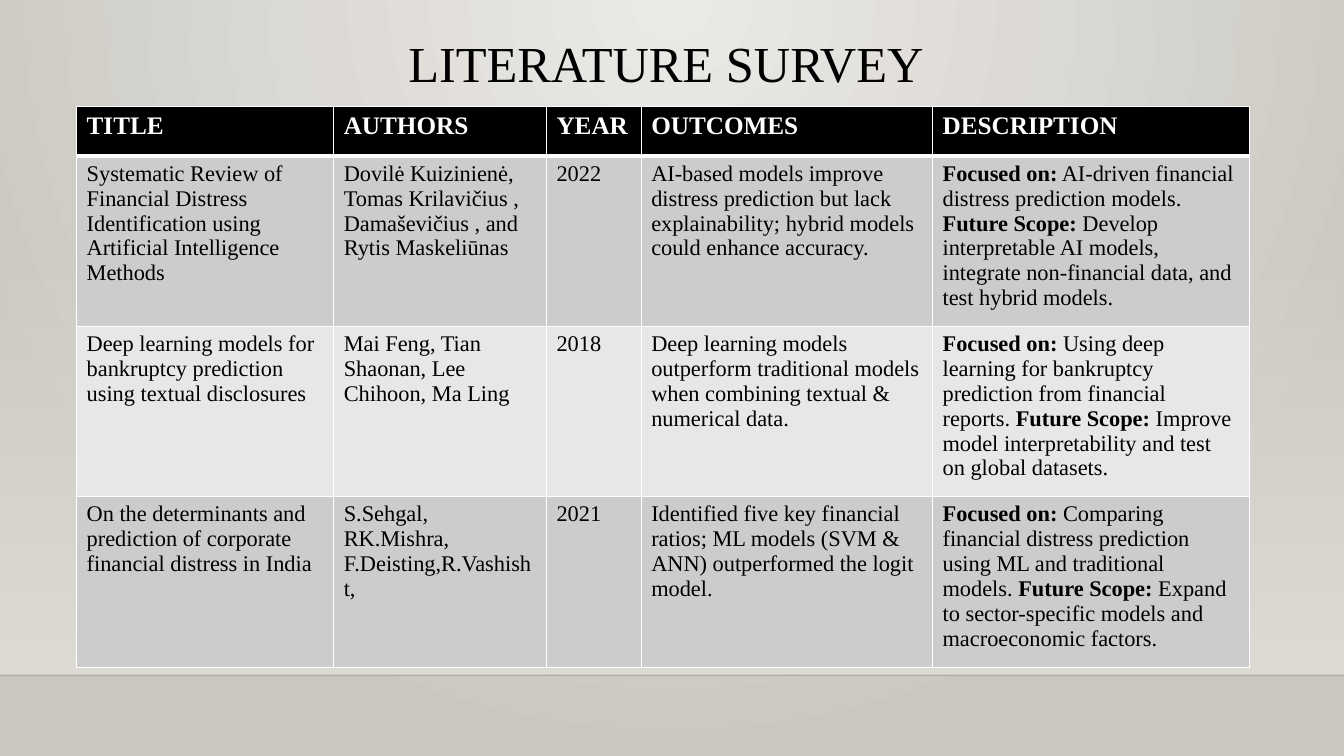
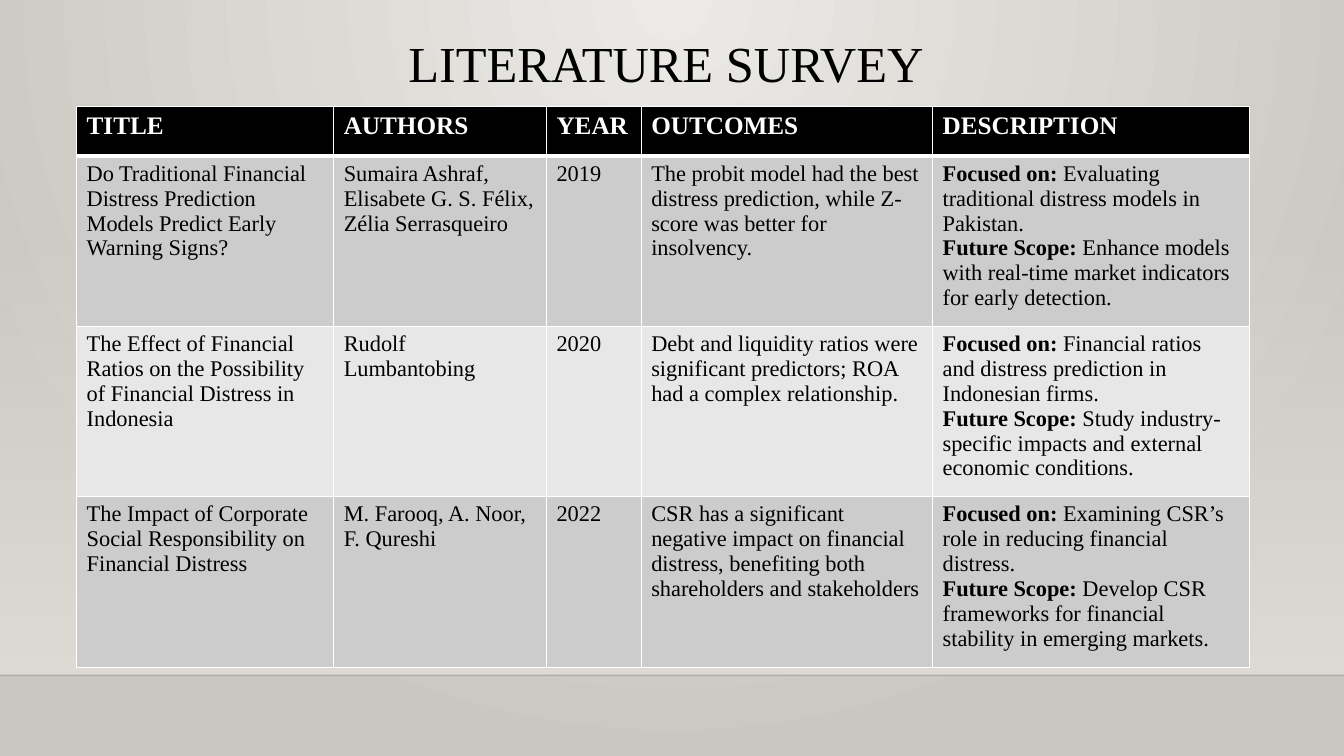
from dataclasses import dataclass

import pptx
import pptx.dml.color
import pptx.enum.shapes
import pptx.enum.text
import pptx.oxml.ns
import pptx.slide
import pptx.table
import pptx.util
from lxml import etree

RGB = pptx.dml.color.RGBColor
Inches = pptx.util.Inches
Pt = pptx.util.Pt
qn = pptx.oxml.ns.qn

# Shared look
BLACK = RGB(0x00, 0x00, 0x00)
WHITE = RGB(0xFF, 0xFF, 0xFF)
RULE = RGB(0x00, 0x00, 0x01)
GLOW = RGB(0xEC, 0xEA, 0xE7)
EDGE = RGB(0xCA, 0xC7, 0xC1)
WALL = RGB(0xDF, 0xDB, 0xD5)
DARK = RGB(0xCC, 0xCC, 0xCC)
LIGHT = RGB(0xE7, 0xE7, 0xE7)
FACE = "Times New Roman"
TITLE = {"name": FACE, "size": Pt(36), "bold": False}
HEAD = {"name": FACE, "size": Pt(18), "bold": True}
BODY = {"name": FACE, "size": Pt(16), "bold": False}

WIDE, HIGH, FLOOR = 13.33, 7.5, 6.7
WIDTHS = [2.55, 2.11, 0.94, 2.89, 3.14]
HEIGHTS = [0.49, 1.69, 1.69, 1.69]
NAMES = ["TITLE", "AUTHORS", "YEAR", "OUTCOMES", "DESCRIPTION"]

Runs = list[tuple[str, bool]]


@dataclass
class Paper:
    title: str
    authors: list[str]
    year: str
    outcome: str
    focus: str
    scope: str


@dataclass
class Survey:
    split: bool  # scope starts its own paragraph
    papers: list[Paper]


SURVEYS = [
    Survey(False, [
        Paper("Systematic Review of Financial Distress Identification using "
              "Artificial Intelligence Methods",
              ["Dovilė Kuizinienė, Tomas Krilavičius , Damaševičius , "
               "and Rytis Maskeliūnas"],
              "2022",
              "AI-based models improve distress prediction but lack "
              "explainability; hybrid models could enhance accuracy.",
              "AI-driven financial distress prediction models.",
              "Develop interpretable AI models, integrate non-financial data, "
              "and test hybrid models."),
        Paper("Deep learning models for bankruptcy prediction using textual "
              "disclosures",
              ["Mai Feng, Tian Shaonan, Lee Chihoon, Ma Ling"],
              "2018",
              "Deep learning models outperform traditional models when "
              "combining textual & numerical data.",
              "Using deep learning for bankruptcy prediction from financial "
              "reports.",
              "Improve model interpretability and test on global datasets."),
        Paper("On the determinants and prediction of corporate financial "
              "distress in India",
              ["S.Sehgal, RK.Mishra, F.Deisting,R.Vashisht,"],
              "2021",
              "Identified five key financial ratios; ML models (SVM & ANN) "
              "outperformed the logit model.",
              "Comparing financial distress prediction using ML and "
              "traditional models.",
              "Expand to sector-specific models and macroeconomic factors."),
    ]),
    Survey(True, [
        Paper("Do Traditional Financial Distress Prediction Models Predict "
              "Early Warning Signs?",
              ["Sumaira Ashraf, Elisabete G. S. Félix, Zélia Serrasqueiro"],
              "2019",
              "The probit model had the best distress prediction, while "
              "Z-score was better for insolvency.",
              "Evaluating traditional distress models in Pakistan.",
              "Enhance models with real-time market indicators for early "
              "detection."),
        Paper("The Effect of Financial Ratios on the Possibility of Financial "
              "Distress in Indonesia",
              ["Rudolf Lumbantobing"],
              "2020",
              "Debt and liquidity ratios were significant predictors; ROA had "
              "a complex relationship.",
              "Financial ratios and distress prediction in Indonesian firms.",
              "Study industry-specific impacts and external economic "
              "conditions."),
        Paper("The Impact of Corporate Social Responsibility on Financial "
              "Distress",
              ["M. Farooq, A. Noor,", "F. Qureshi"],
              "2022",
              "CSR has a significant negative impact on financial distress, "
              "benefiting both shareholders and stakeholders",
              "Examining CSR’s role in reducing financial distress.",
              "Develop CSR frameworks for financial stability in emerging "
              "markets."),
    ]),
]


def style(font, form: dict, color: RGB) -> None:
    for key, value in form.items():
        setattr(font, key, value)
    font.color.rgb = color


def fade(fill, start: RGB, end: RGB) -> None:
    fill.gradient()
    for stop, color in zip(fill.gradient_stops, (start, end)):
        stop.color.rgb = color


def alpha(color, share: int) -> None:
    etree.SubElement(color, qn("a:alpha"), val=str(share * 1000))


def paint(master: pptx.slide.SlideMaster) -> None:
    """Set the round glow behind all slides."""
    fade(master.background.fill, GLOW, EDGE)
    grad = master.element.find(".//" + qn("a:gradFill"))
    grad.remove(grad.find(qn("a:lin")))
    ring = etree.SubElement(grad, qn("a:path"), path="circle")
    etree.SubElement(ring, qn("a:fillToRect"),
                     l="43000", t="0", r="43000", b="100000")


def build(slide: pptx.slide.Slide, master: pptx.slide.SlideMaster) -> None:
    """Make the wall and floor line, then hand them to the master."""
    wall = slide.shapes.add_shape(
        pptx.enum.shapes.MSO_SHAPE.RECTANGLE,
        Inches(0), Inches(2.21), Inches(WIDE), Inches(FLOOR - 2.21))
    wall.shadow.inherit = False
    wall.line.fill.background()
    fade(wall.fill, WALL, WALL)
    wall.fill.gradient_angle = 270
    alpha(wall.element.find(".//" + qn("a:srgbClr")), 0)

    edge = slide.shapes.add_connector(
        pptx.enum.shapes.MSO_CONNECTOR.STRAIGHT,
        Inches(0), Inches(FLOOR), Inches(WIDE), Inches(FLOOR))
    edge.line.width = Pt(1)
    edge.line.color.rgb = RULE
    alpha(edge.element.find(".//" + qn("a:srgbClr")), 20)
    etree.SubElement(edge.element.spPr, qn("a:effectLst"))

    for place, shape in enumerate((wall, edge), start=2):
        master.shapes.element.insert(place, shape.element)


def head(slide: pptx.slide.Slide) -> None:
    title = slide.shapes.title
    title.left, title.top = Inches(3.95), Inches(0.34)
    title.width, title.height = Inches(9.38), Inches(1.68)
    frame = title.text_frame
    frame.text = "LITERATURE SURVEY"
    frame.word_wrap = True
    frame.auto_size = pptx.enum.text.MSO_AUTO_SIZE.NONE
    frame.vertical_anchor = pptx.enum.text.MSO_ANCHOR.TOP
    para = frame.paragraphs[0]
    para.alignment = pptx.enum.text.PP_ALIGN.LEFT
    para.line_spacing = 0.9
    style(para.runs[0].font, TITLE, BLACK)


def border(cell, row: int) -> None:
    thick = {"lnL": 1, "lnR": 1, "lnT": 3 if row == 1 else 1,
             "lnB": 3 if row == 0 else 1}
    props = cell._tc.get_or_add_tcPr()
    for side, size in thick.items():
        line = etree.SubElement(props, qn("a:" + side), w=str(Pt(size)))
        fill = etree.SubElement(line, qn("a:solidFill"))
        etree.SubElement(fill, qn("a:srgbClr"), val=str(WHITE))


def write(cell, paras: list[Runs], form: dict, color: RGB) -> None:
    frame = cell.text_frame
    for place, runs in enumerate(paras):
        para = frame.add_paragraph() if place else frame.paragraphs[0]
        for text, bold in runs:
            run = para.add_run()
            run.text = text
            style(run.font, {**form, "bold": bold}, color)


def plain(*texts: str, bold: bool = False) -> list[Runs]:
    return [[(text, bold)] for text in texts]


def cells(paper: Paper, split: bool) -> list[list[Runs]]:
    focus = [("Focused on:", True),
             (f" {paper.focus}" + ("" if split else " "), False)]
    scope = [("Future Scope:", True), (f" {paper.scope}", False)]
    return [plain(paper.title), plain(*paper.authors), plain(paper.year),
            plain(paper.outcome),
            [focus, scope] if split else [focus + scope]]


def grid(slide: pptx.slide.Slide, survey: Survey) -> None:
    table = slide.shapes.add_table(
        len(HEIGHTS), len(WIDTHS), Inches(0.76), Inches(1.06),
        Inches(sum(WIDTHS)), Inches(sum(HEIGHTS))).table
    for col, wide in zip(table.columns, WIDTHS):
        col.width = Inches(wide)
    for row, high in zip(table.rows, HEIGHTS):
        row.height = Inches(high)

    rows = [[plain(name, bold=True) for name in NAMES]]
    rows += [cells(paper, survey.split) for paper in survey.papers]
    for r, row in enumerate(rows):
        form, ink = (BODY, BLACK) if r else (HEAD, WHITE)
        back = (DARK if r % 2 else LIGHT) if r else BLACK
        for c, paras in enumerate(row):
            cell = table.cell(r, c)
            border(cell, r)
            cell.fill.solid()
            cell.fill.fore_color.rgb = back
            write(cell, paras, form, ink)


def main() -> None:
    deck = pptx.Presentation()
    deck.slide_width, deck.slide_height = Inches(WIDE), Inches(HIGH)
    paint(deck.slide_master)
    for place, survey in enumerate(SURVEYS):
        slide = deck.slides.add_slide(deck.slide_layouts[5])
        if place == 0:
            build(slide, deck.slide_master)
        head(slide)
        grid(slide, survey)
    deck.save("out.pptx")


if __name__ == "__main__":
    main()
